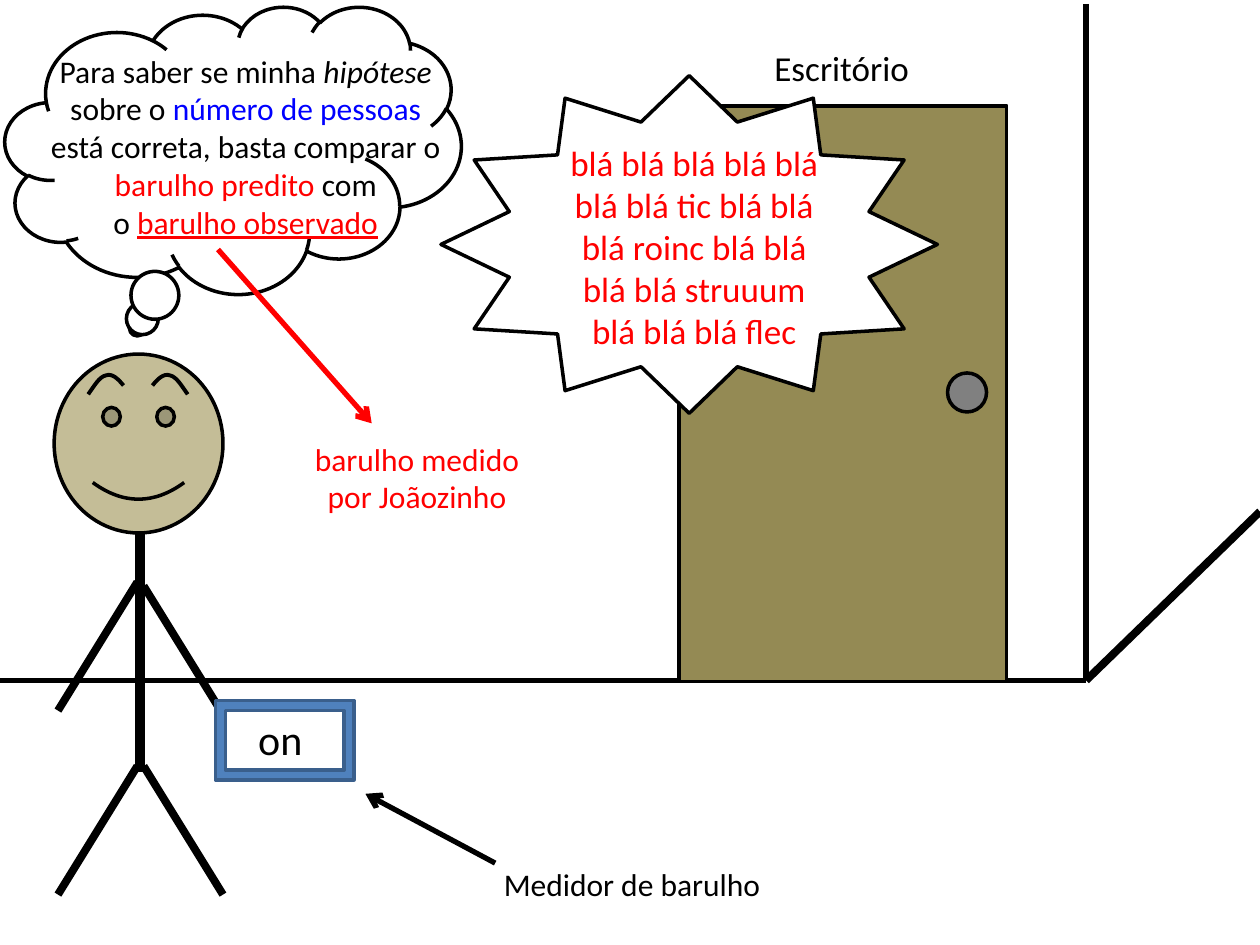
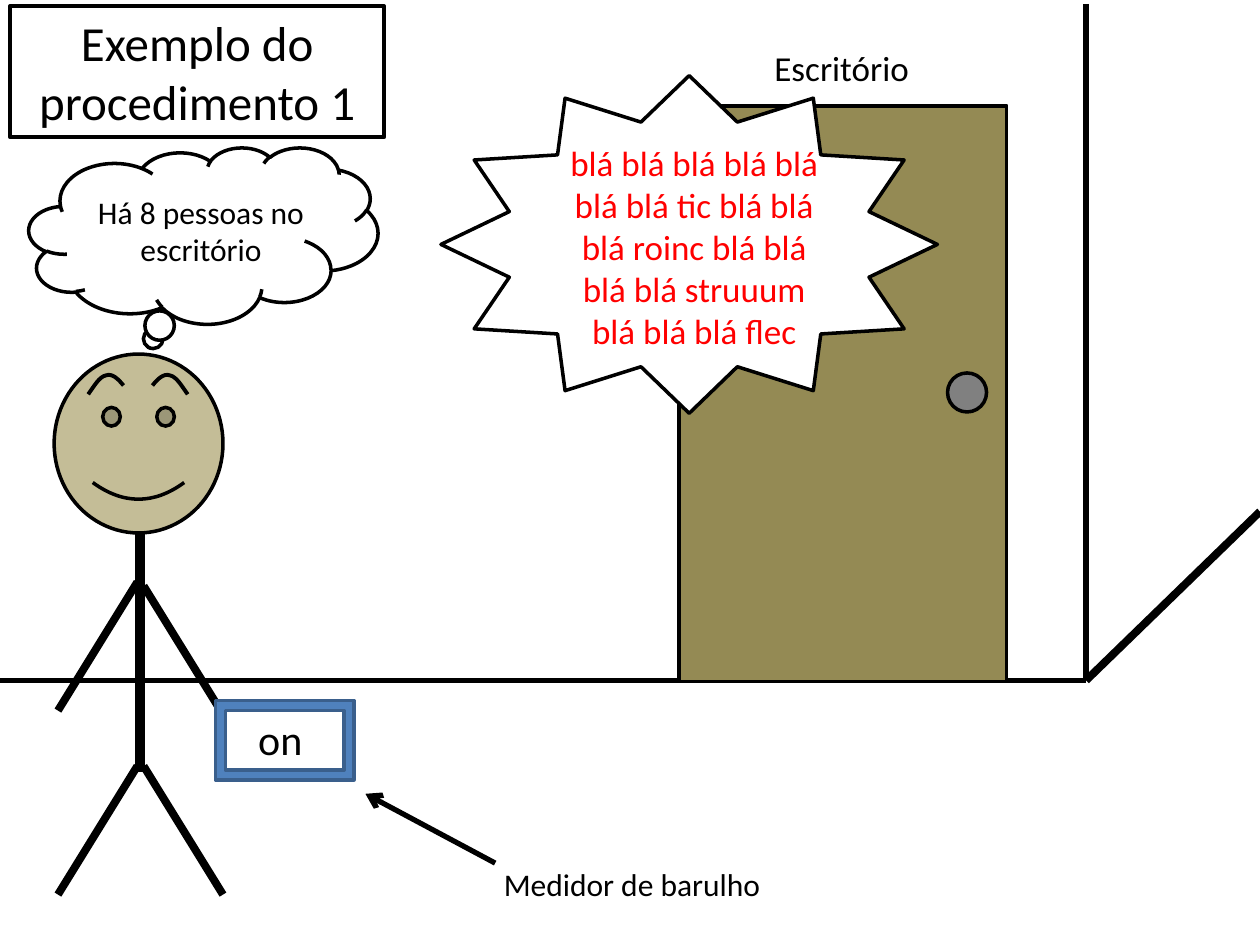
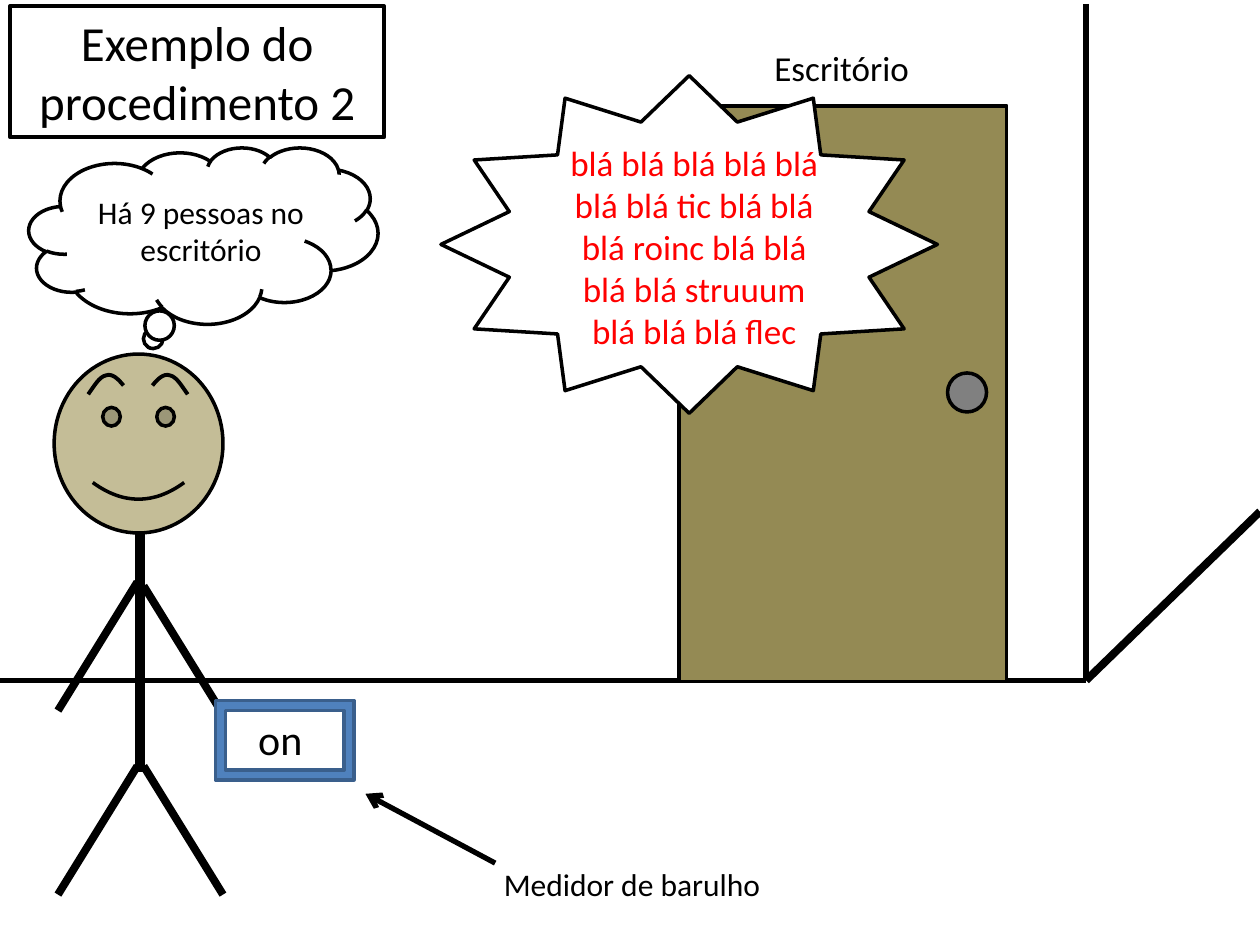
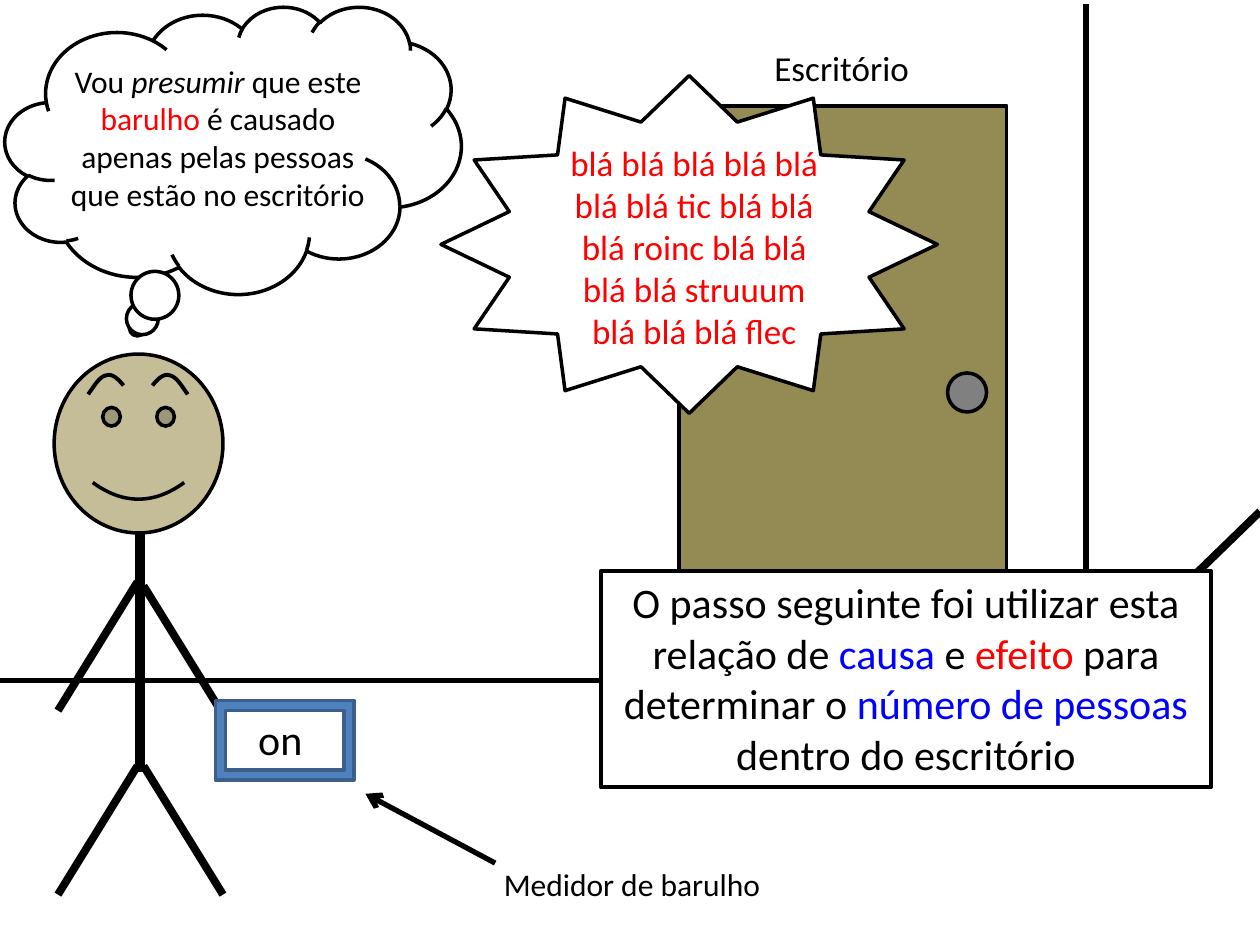
from lxml import etree
from pptx import Presentation
from pptx.dml.color import RGBColor
from pptx.enum.shapes import MSO_CONNECTOR, MSO_SHAPE
from pptx.enum.text import MSO_ANCHOR, MSO_AUTO_SIZE, PP_ALIGN
from pptx.oxml.ns import qn
from pptx.util import Inches, Pt

FONT = "Calibri"
COLORS = {
    "black": "000000", "white": "FFFFFF", "red": "FF0000", "blue": "0000FF",
    "door": "948A54", "knob": "808080", "skin": "C4BD97",
    "meter": "4F81BD", "meter_edge": "3A5F8C",
}

# Content: each paragraph is a list of (text, colour, style) runs
NOISE = ("blá blá blá blá blá blá blá tic blá blá blá roinc blá blá "
         "blá blá struuum blá blá blá flec")
COMPARE = [
    [("Para saber se minha ", "black", ""), ("hipótese", "black", "i"),
     (" sobre o ", "black", ""), ("número de pessoas", "blue", ""),
     (" está correta, basta comparar o ", "black", ""),
     ("barulho predito ", "red", ""), ("com", "black", "")],
    [("o ", "black", ""), ("barulho observado", "red", "u")],
]
MEASURED = [[("barulho medido", "red", "")], [("por Joãozinho", "red", "")]]
PRESUME = [
    [("Vou ", "black", ""), ("presumir", "black", "i"),
     (" que este ", "black", ""), ("barulho", "red", ""),
     (" é causado apenas pelas pessoas que estão no escritório", "black", "")],
]
NEXT_STEP = [
    [("O passo seguinte foi utilizar esta relação de ", "black", ""),
     ("causa", "blue", ""), (" e ", "black", ""), ("efeito", "red", ""),
     (" para determinar o ", "black", ""), ("número de pessoas", "blue", ""),
     (" dentro do escritório", "black", "")],
]
EXAMPLES = [(1, 8), (2, 9)]  # procedure number, people supposed

# Lines: start x, start y, end x, end y, width
ROOM_LINES = [
    (8.62, 5.4, 10, 4.06, 4.5),
    (8.62, 0.03, 8.62, 5.39, 3),
    (-0.04, 5.4, 8.62, 5.4, 3),
]
BODY_LINES = [
    (1.11, 4.16, 1.11, 6.13, 6),
    (1.14, 6.08, 1.77, 7.1, 4.5),
    (1.09, 6.08, 0.46, 7.1, 4.5),
    (1.14, 4.65, 1.77, 5.67, 4.5),
    (1.09, 4.62, 0.46, 5.64, 4.5),
]
# Left eyebrow as two cubic curves; the right one mirrors it
BROW = [
    [(0.98, 3.06), (0.94, 3.01), (0.89, 2.96), (0.84, 2.98)],
    [(0.84, 2.98), (0.79, 2.99), (0.75, 3.06), (0.7, 3.13)],
]
FACE_AXIS = 1.095
BROW_STEPS = 8


def rgb(name):
    return RGBColor.from_string(COLORS[name])


def plain(text, color="black"):
    return [[(text, color, "")]]


# Drawing helpers
def add_shape(shapes, kind, box, fill, line="black"):
    sp = shapes.add_shape(kind, *map(Inches, box))
    sp.shadow.inherit = False
    sp.fill.solid()
    sp.fill.fore_color.rgb = rgb(fill)
    sp.line.color.rgb = rgb(line)
    sp.line.width = Pt(2)
    return sp


def add_line(shapes, x1, y1, x2, y2, width, color="black", arrow=False):
    cxn = shapes.add_connector(MSO_CONNECTOR.STRAIGHT,
                               *map(Inches, (x1, y1, x2, y2)))
    cxn.line.color.rgb = rgb(color)
    cxn.line.width = Pt(width)
    if arrow:
        ln = cxn.line._get_or_add_ln()
        etree.SubElement(ln, qn("a:tailEnd"), type="arrow")
    etree.SubElement(cxn._element.spPr, qn("a:effectLst"))


def add_text(shapes, box, paragraphs, size, align=PP_ALIGN.CENTER):
    sp = shapes.add_textbox(*map(Inches, box))
    tf = sp.text_frame
    tf.word_wrap = True
    tf.auto_size = MSO_AUTO_SIZE.SHAPE_TO_FIT_TEXT
    tf.vertical_anchor = MSO_ANCHOR.TOP
    for i, runs in enumerate(paragraphs):
        p = tf.add_paragraph() if i else tf.paragraphs[0]
        p.alignment = align
        for text, color, style in runs:
            r = p.add_run()
            r.text = text
            r.font.name = FONT
            r.font.size = Pt(size)
            r.font.color.rgb = rgb(color)
            if style == "i":
                r.font.italic = True
            elif style == "u":
                r.font.underline = True
    return sp


def add_framed_text(shapes, box, paragraphs, size):
    sp = add_text(shapes, box, paragraphs, size)
    sp.fill.solid()
    sp.fill.fore_color.rgb = rgb("white")
    sp.line.color.rgb = rgb("black")
    sp.line.width = Pt(2.25)


def bezier(points, t):
    weights = ((1 - t) ** 3, 3 * t * (1 - t) ** 2, 3 * t * t * (1 - t), t ** 3)
    return tuple(sum(w * pt[axis] for w, pt in zip(weights, points))
                 for axis in (0, 1))


def add_brow(shapes, mirrored):
    dots = [BROW[0][0]] + [bezier(curve, i / BROW_STEPS) for curve in BROW
                           for i in range(1, BROW_STEPS + 1)]
    if mirrored:
        dots = [(2 * FACE_AXIS - x, y) for x, y in dots]
    dots = [(Inches(x), Inches(y)) for x, y in dots]
    builder = shapes.build_freeform(*dots[0])
    builder.add_line_segments(dots[1:], close=False)
    sp = builder.convert_to_shape()
    sp.shadow.inherit = False
    sp.fill.background()
    sp.line.color.rgb = rgb("black")
    sp.line.width = Pt(2.25)


# Parts of the scene
def draw_office(shapes):
    for line in ROOM_LINES:
        add_line(shapes, *line)
    door = shapes.add_group_shape().shapes
    add_shape(door, MSO_SHAPE.RECTANGLE, (5.39, 0.84, 2.6, 4.57), "door")
    add_shape(door, MSO_SHAPE.OVAL, (7.52, 2.96, 0.31, 0.31), "knob")


def draw_noise(shapes):
    add_text(shapes, (5.54, 0.32, 2.28, 0.44), plain("Escritório"), 20)
    shout = shapes.add_group_shape().shapes
    add_shape(shout, MSO_SHAPE.STAR_12_POINT, (3.5, 0.6, 3.94, 2.68), "white")
    add_text(shout, (4.37, 1.07, 2.28, 1.78), plain(NOISE, "red"), 20)


def draw_face(shapes):
    add_shape(shapes, MSO_SHAPE.SMILEY_FACE, (0.43, 2.81, 1.34, 1.42), "skin")
    for mirrored in (False, True):
        add_brow(shapes, mirrored)


def draw_meter(shapes):
    meter = shapes.add_group_shape().shapes
    add_shape(meter, MSO_SHAPE.FRAME, (1.71, 5.56, 1.1, 0.63),
              "meter", "meter_edge")
    add_text(meter, (1.91, 5.61, 0.63, 0.5), plain("on"), 24)
    add_text(meter, (3.9, 6.82, 2.6, 0.4), plain("Medidor de barulho"), 18,
             PP_ALIGN.LEFT)
    add_line(meter, 3.93, 6.85, 2.9, 6.3, 3, arrow=True)


def add_scene(prs):
    shapes = prs.slides.add_slide(prs.slide_layouts[6]).shapes
    draw_office(shapes)
    for line in BODY_LINES:
        add_line(shapes, *line)
    draw_noise(shapes)
    draw_face(shapes)
    draw_meter(shapes)
    return shapes


def add_thought(shapes, cloud_box, text_box, paragraphs, tail):
    cloud = add_shape(shapes, MSO_SHAPE.CLOUD_CALLOUT, cloud_box, "white")
    cloud.adjustments[0], cloud.adjustments[1] = tail
    add_text(shapes, text_box, paragraphs, 18)


# Slides
BIG_CLOUD, BIG_TAIL = (0.04, 0.05, 3.62, 2.28), (-0.21, 0.62)
SMALL_CLOUD, SMALL_TAIL = (0.23, 1.17, 2.77, 1.4), (-0.15, 0.61)


def add_comparison(prs):
    shapes = add_scene(prs)
    add_thought(shapes, BIG_CLOUD, (0.29, 0.36, 3.32, 1.62), COMPARE, BIG_TAIL)
    add_text(shapes, (2.01, 3.44, 2.6, 0.71), MEASURED, 18)
    add_line(shapes, 1.73, 1.98, 2.95, 3.36, 3, "red", arrow=True)


def add_example(prs, number, people):
    shapes = add_scene(prs)
    add_framed_text(shapes, (0.08, 0.05, 2.97, 1.04),
                    plain(f"Exemplo do procedimento {number}"), 28)
    add_thought(shapes, SMALL_CLOUD, (0.62, 1.48, 1.95, 0.71),
                plain(f"Há {people} pessoas no escritório"), SMALL_TAIL)


def add_next_step(prs):
    shapes = add_scene(prs)
    add_thought(shapes, BIG_CLOUD, (0.35, 0.44, 2.76, 1.31), PRESUME, BIG_TAIL)
    add_framed_text(shapes, (4.77, 4.53, 4.84, 1.72), NEXT_STEP, 24)


def main():
    prs = Presentation()
    prs.slide_width, prs.slide_height = Inches(10), Inches(7.5)
    add_comparison(prs)
    for number, people in EXAMPLES:
        add_example(prs, number, people)
    add_next_step(prs)
    prs.save("out.pptx")


if __name__ == "__main__":
    main()
